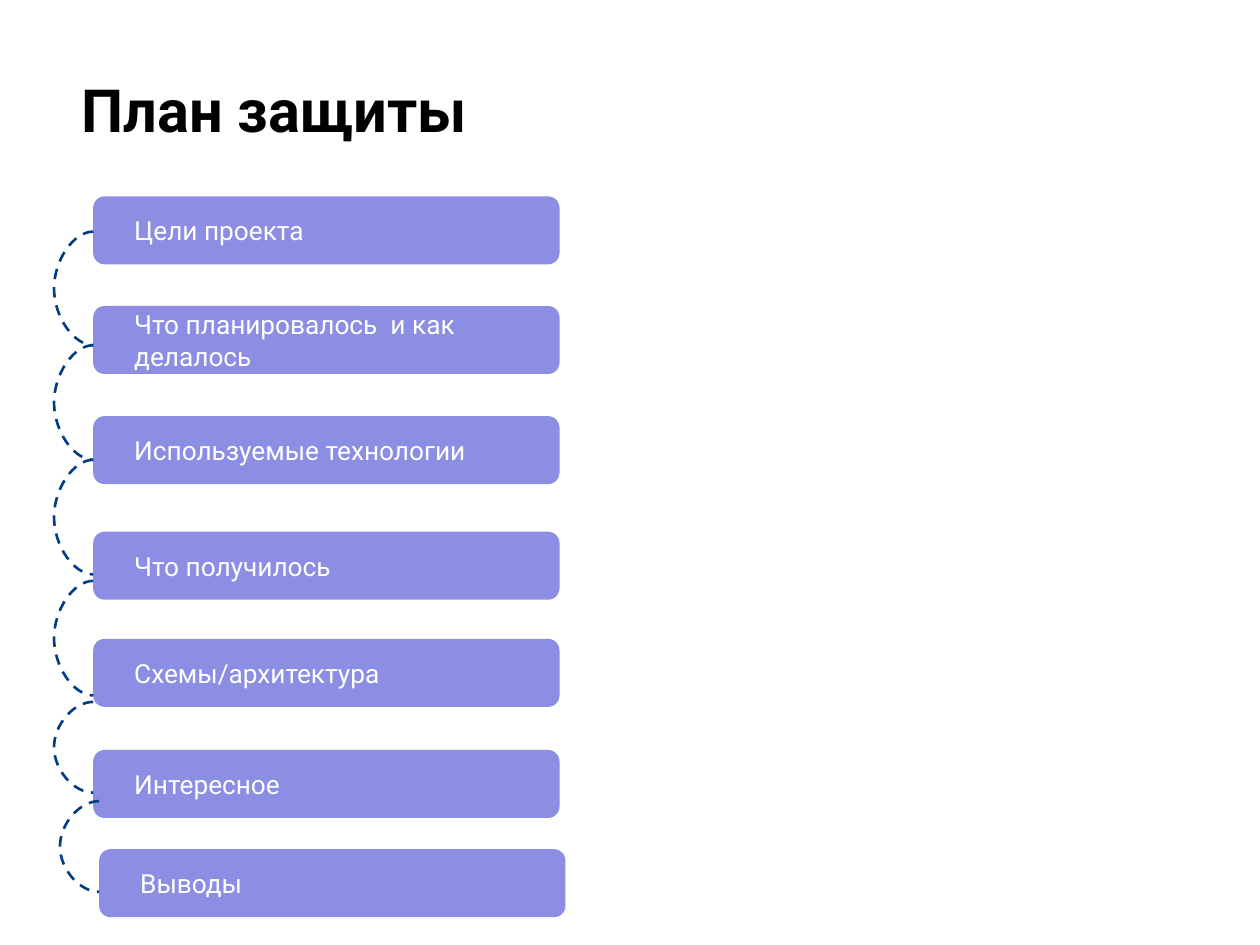
from dataclasses import dataclass

from lxml import etree
from pptx import Presentation
from pptx import util as u
from pptx.dml.color import RGBColor
from pptx.enum import dml, shapes, text
from pptx.oxml import ns


@dataclass(frozen=True)
class Theme:
    font: str = "Roboto"
    title_size: int = 34
    item_size: int = 15
    title_color: str = "000000"
    item_color: str = "FFFFFF"
    item_fill: str = "8B8EE3"
    link_color: str = "013D85"
    link_width: float = 1.5


THEME = Theme()
LEFT, LAST_LEFT = 1.88, 2.0
BULGE = 0.79          # how far a link swings out to the left, cm
LINK_SPAN = 0.002     # nearly vertical link, so its bulge is a ratio of this, cm

# Agenda items: text, left, top (cm)
AGENDA = [
    ("Цели проекта", LEFT, 3.96),
    ("Что планировалось  и как делалось", LEFT, 6.17),
    ("Используемые технологии", LEFT, 8.39),
    ("Что получилось", LEFT, 10.72),
    ("Схемы/архитектура", LEFT, 12.88),
    ("Интересное", LEFT, 15.12),
    ("Выводы", LAST_LEFT, 17.12),
]

# Links between neighbours: left, top, height (cm)
LINKS = [
    (LEFT, 4.67, 2.29),
    (LEFT, 6.96, 2.31),
    (LEFT, 9.27, 2.31),
    (LEFT, 11.71, 2.31),
    (LEFT, 14.15, 1.83),
    (LAST_LEFT, 16.15, 1.83),
]


def write(holder, content, *, size, color, bold=False, side=0.25,
          anchor=text.MSO_ANCHOR.TOP):
    frame = holder.text_frame
    frame.word_wrap = True
    frame.auto_size = text.MSO_AUTO_SIZE.NONE
    frame.vertical_anchor = anchor
    frame.margin_left = frame.margin_right = u.Cm(side)
    frame.margin_top = frame.margin_bottom = u.Cm(0.25)
    paragraph = frame.paragraphs[0]
    paragraph.alignment = text.PP_ALIGN.LEFT
    run = paragraph.add_run()
    run.text = content
    run.font.name = THEME.font
    run.font.size = u.Pt(size)
    run.font.bold = bold
    run.font.color.rgb = RGBColor.from_string(color)


def set_title(slide, content):
    title = slide.shapes.title
    title.left, title.top = u.Cm(1.4), u.Cm(1.22)
    title.width, title.height = u.Cm(23.65), u.Cm(2.08)
    write(title, content, size=THEME.title_size, color=THEME.title_color, bold=True)


def add_item(slide, content, left, top):
    item = slide.shapes.add_shape(
        shapes.MSO_SHAPE.ROUNDED_RECTANGLE,
        u.Cm(left), u.Cm(top), u.Cm(9.4), u.Cm(1.37))
    item.shadow.inherit = False
    item.adjustments[0] = 0.167
    item.fill.solid()
    item.fill.fore_color.rgb = RGBColor.from_string(THEME.item_fill)
    item.line.fill.background()
    write(item, content, size=THEME.item_size, color=THEME.item_color,
          side=0.76, anchor=text.MSO_ANCHOR.MIDDLE)


def add_link(slide, left, top, height):
    link = slide.shapes.add_connector(
        shapes.MSO_CONNECTOR.CURVE,
        u.Cm(left), u.Cm(top), u.Cm(left + LINK_SPAN), u.Cm(top + height))
    link.line.color.rgb = RGBColor.from_string(THEME.link_color)
    link.line.width = u.Pt(THEME.link_width)
    link.line.dash_style = dml.MSO_LINE.DASH
    # Bend to the left and drop the shadow
    properties = link._element.spPr
    guides = properties.find(ns.qn("a:prstGeom")).find(ns.qn("a:avLst"))
    bend = round(-BULGE / LINK_SPAN * 100000)
    etree.SubElement(guides, ns.qn("a:gd"), name="adj1", fmla=f"val {bend}")
    etree.SubElement(properties, ns.qn("a:effectLst"))


def main():
    deck = Presentation()
    deck.slide_width, deck.slide_height = u.Cm(25.4), u.Cm(19.05)
    slide = deck.slides.add_slide(deck.slide_layouts[5])

    set_title(slide, "План защиты")
    for item in AGENDA:
        add_item(slide, *item)
    for link in LINKS:
        add_link(slide, *link)

    deck.save("out.pptx")


if __name__ == "__main__":
    main()
